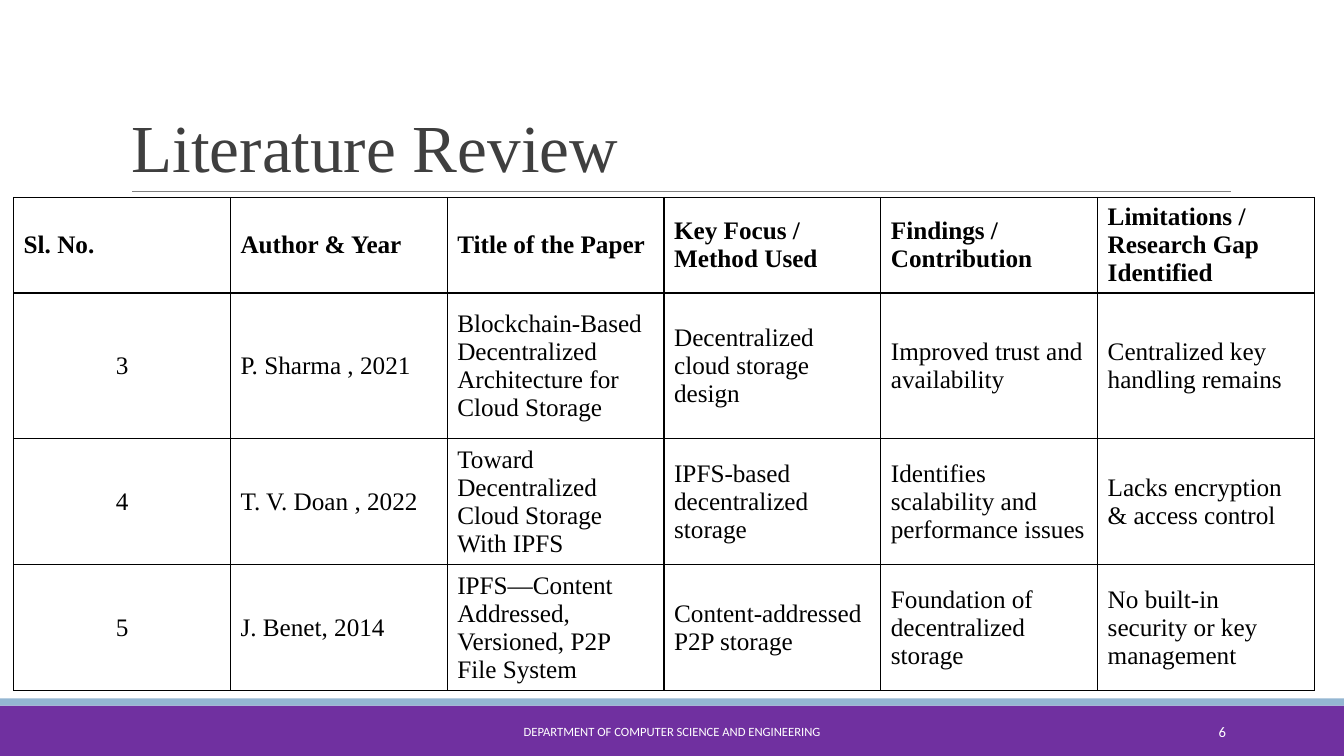
from dataclasses import dataclass

from lxml import etree
from pptx import Presentation
from pptx.dml.color import RGBColor
from pptx.enum.shapes import MSO_CONNECTOR, MSO_SHAPE
from pptx.enum.text import MSO_ANCHOR, PP_ALIGN
from pptx.oxml.ns import qn
from pptx.util import Emu, Pt

RECT = MSO_SHAPE.RECTANGLE
STRAIGHT = MSO_CONNECTOR.STRAIGHT
MIDDLE, BOTTOM = MSO_ANCHOR.MIDDLE, MSO_ANCHOR.BOTTOM
LEFT, CENTER, RIGHT = PP_ALIGN.LEFT, PP_ALIGN.CENTER, PP_ALIGN.RIGHT
EMU_PER_PX = 9525


@dataclass(frozen=True)
class Theme:
    heading_font: str = "Times New Roman"
    footer_font: str = "Calibri"
    title: str = "3F3F3F"
    body: str = "000000"
    rule: str = "7F7F7F"
    band: str = "7030A0"
    strip: str = "94B6D2"
    footer: str = "FFFFFF"
    title_size: float = 48
    body_size: float = 18
    footer_size: float = 9
    number_size: float = 10.5
    rule_width: float = 0.75
    border_width: float = 0.96


THEME = Theme()

CELL_PAD = 2
ROW_HEIGHTS = [91, 139, 120, 120]
REVIEW = [
    ["Sl. No.", "Author & Year", "Title of the Paper", "Key Focus / Method Used",
     "Findings / Contribution", "Limitations / Research Gap Identified"],
    ["3", "P. Sharma , 2021",
     "Blockchain-Based Decentralized Architecture for Cloud Storage",
     "Decentralized cloud storage design", "Improved trust and availability",
     "Centralized key handling remains"],
    ["4", "T. V. Doan , 2022", "Toward Decentralized Cloud Storage With IPFS",
     "IPFS-based decentralized storage",
     "Identifies scalability and performance issues",
     "Lacks encryption & access control"],
    ["5", "J. Benet, 2014", "IPFS—Content Addressed, Versioned, P2P File System",
     "Content-addressed P2P storage", "Foundation of decentralized storage",
     "No built-in security or key management"],
]


def px(n):
    return Emu(n * EMU_PER_PX)


def rgb(color):
    return RGBColor.from_string(color)


def write(tf, text, font, size, color, align=LEFT, bold=False):
    tf.text = text
    p = tf.paragraphs[0]
    p.alignment = align
    r = p.runs[0]
    r.font.name = font
    r.font.size = Pt(size)
    r.font.bold = bold
    r.font.color.rgb = rgb(color)
    return p


def add_bar(s, x, y, w, h, color):
    sp = s.shapes.add_shape(RECT, px(x), px(y), px(w), px(h))
    sp.shadow.inherit = False
    sp.fill.solid()
    sp.fill.fore_color.rgb = rgb(color)
    sp.line.fill.background()


def add_rule(s, x1, x2, y):
    line = s.shapes.add_connector(STRAIGHT, px(x1), px(y), px(x2), px(y))
    line.line.color.rgb = rgb(THEME.rule)
    line.line.width = Pt(THEME.rule_width)
    etree.SubElement(line._element.spPr, qn("a:effectLst"))


def add_text(s, x, y, w, h, text, font, size, color, align=LEFT, anchor=MIDDLE):
    tf = s.shapes.add_textbox(px(x), px(y), px(w), px(h)).text_frame
    tf.word_wrap = True
    tf.vertical_anchor = anchor
    return write(tf, text, font, size, color, align)


def set_borders(cell):
    tc_pr = cell._tc.get_or_add_tcPr()
    for side in ("lnL", "lnR", "lnT", "lnB"):
        ln = etree.SubElement(tc_pr, qn(f"a:{side}"), w=str(Pt(THEME.border_width)))
        fill = etree.SubElement(ln, qn("a:solidFill"))
        etree.SubElement(fill, qn("a:srgbClr"), val=THEME.body)


def add_review_table(s, x, y, w, rows, heights):
    frame = s.shapes.add_table(len(rows), len(rows[0]), px(x), px(y), px(w), px(sum(heights)))
    table = frame.table
    table.first_row = False
    table.horz_banding = False
    for i, (values, height) in enumerate(zip(rows, heights)):
        table.rows[i].height = px(height)
        for j, value in enumerate(values):
            cell = table.cell(i, j)
            set_borders(cell)
            cell.fill.background()
            cell.vertical_anchor = MIDDLE
            cell.margin_top = cell.margin_bottom = px(CELL_PAD)
            align = CENTER if i > 0 and j == 0 else LEFT
            write(cell.text_frame, value, THEME.heading_font, THEME.body_size,
                  THEME.body, align, bold=i == 0)


def main():
    prs = Presentation()
    prs.slide_width, prs.slide_height = px(1280), px(720)
    s = prs.slides.add_slide(prs.slide_layouts[6])

    add_bar(s, 0, 672, 1280, 48, THEME.band)
    add_bar(s, 0, 665, 1280, 7, THEME.strip)
    add_rule(s, 126, 1172, 182)
    title = add_text(s, 116, 30, 1056, 152, "Literature Review", THEME.heading_font,
                     THEME.title_size, THEME.title, anchor=BOTTOM)
    title.line_spacing = 0.85
    add_review_table(s, 13, 188, 1239, REVIEW, ROW_HEIGHTS)
    add_text(s, 387, 678, 506, 38, "DEPARTMENT OF COMPUTER SCIENCE AND ENGINEERING",
             THEME.footer_font, THEME.footer_size, THEME.footer, CENTER)
    add_text(s, 1040, 678, 137, 38, "6", THEME.footer_font, THEME.number_size,
             THEME.footer, RIGHT)

    prs.save("out.pptx")


if __name__ == "__main__":
    main()
